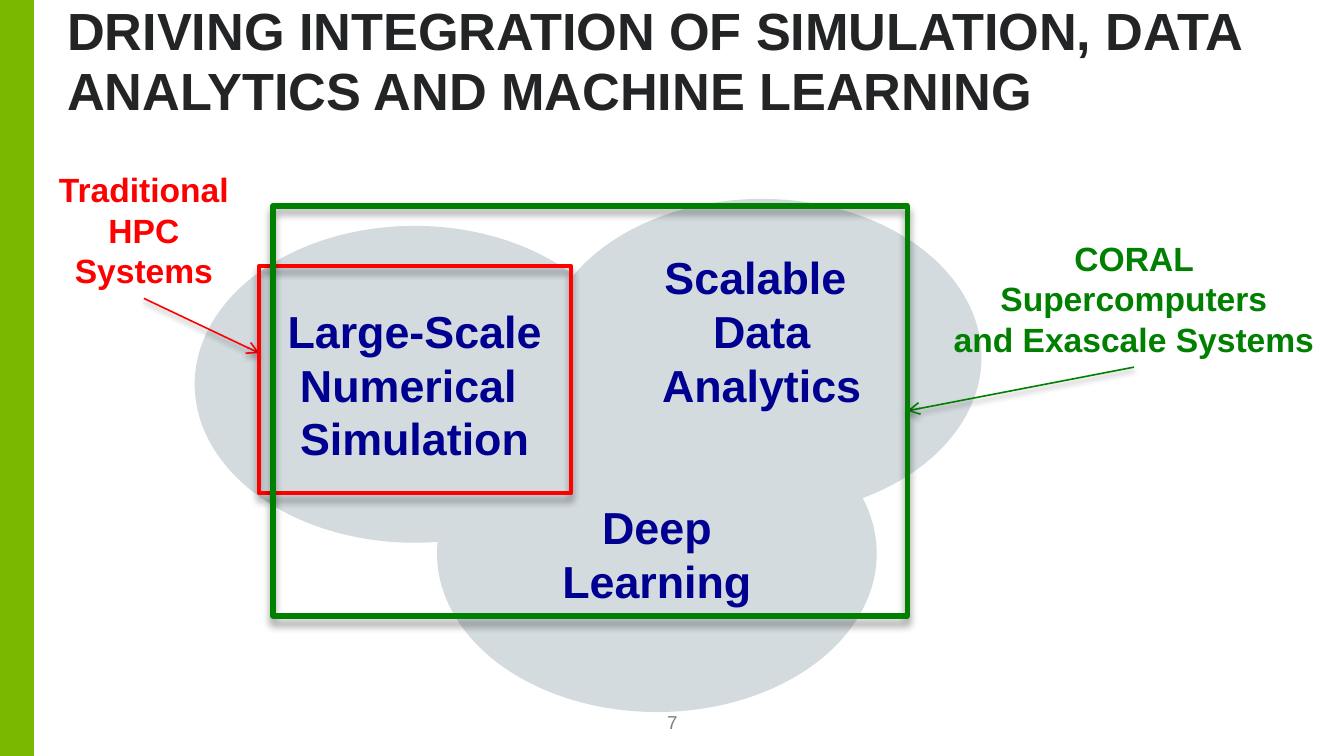
from lxml import etree
from pptx import Presentation
from pptx.dml.color import RGBColor
from pptx.enum.shapes import MSO_CONNECTOR, MSO_SHAPE
from pptx.enum.text import MSO_ANCHOR, PP_ALIGN
from pptx.oxml.ns import qn
from pptx.util import Cm, Pt

RECTANGLE, OVAL = MSO_SHAPE.RECTANGLE, MSO_SHAPE.OVAL
STRAIGHT = MSO_CONNECTOR.STRAIGHT
TOP, MIDDLE, BOTTOM = MSO_ANCHOR.TOP, MSO_ANCHOR.MIDDLE, MSO_ANCHOR.BOTTOM
LEFT, CENTER = PP_ALIGN.LEFT, PP_ALIGN.CENTER

COLORS = {
    "accent": "7AB800", "title": "232425", "number": "808080", "white": "FFFFFF",
    "circle": "D3DBDF", "topic": "000090", "hpc": "FF0000", "coral": "008000",
    "shadow": "000000",
}
TITLE = "DRIVING INTEGRATION OF SIMULATION, DATA ANALYTICS AND MACHINE LEARNING"
TITLE_PLACE = (1.27, 0.58, 23.27, 1.73)
NUMBER, NUMBER_PLACE = "7", (12.07, 13.49, 1.27, 0.38)
BAR_PLACE = (0, 0, 0.64, 14.29)
CIRCLE_SIZE = (8.31, 5.99)
INSETS = (0.25, 0.13, 0.25, 0.13)
RAISED_INSETS = (0.25, 0.13, 0.25, 1.15)
TOPICS = [
    ("Deep\nLearning", (8.26, 7.47), INSETS),
    ("Large-Scale\nNumerical \nSimulation", (3.68, 4.27), INSETS),
    ("Scalable \nData Analytics", (10.24, 3.76), RAISED_INSETS),
]
SYSTEMS = [
    {"text": "Traditional\nHPC\nSystems", "color": "hpc", "label": (0.84, 3.07, 3.76, 2.57),
     "wrap": False, "frame": (4.9, 5.03, 5.89, 4.29), "weight": 2.25, "side": "left"},
    {"text": "CORAL Supercomputers\nand Exascale Systems", "color": "coral",
     "label": (17.48, 4.37, 7.9, 2.57), "wrap": True,
     "frame": (5.16, 3.89, 11.99, 7.75), "weight": 3, "side": "right"},
]


def color(name):
    return RGBColor.from_string(COLORS[name])


def lengths(values):
    return [Cm(value) for value in values]


def write(shape, text, size, tint, bold=True, insets=INSETS, anchor=TOP, align=CENTER,
          wrap=True):
    frame = shape.text_frame
    frame.text = text
    frame.word_wrap = wrap
    frame.vertical_anchor = anchor
    (frame.margin_left, frame.margin_top,
     frame.margin_right, frame.margin_bottom) = lengths(insets)
    for paragraph in frame.paragraphs:
        paragraph.alignment = align
        for span in paragraph.runs:
            span.font.name, span.font.size, span.font.bold = "Arial", Pt(size), bold
            span.font.color.rgb = color(tint)


def add_plain_shape(slide, kind, place, fill=None):
    shape = slide.shapes.add_shape(kind, *lengths(place))
    shape.shadow.inherit = False
    shape.line.fill.background()
    if fill:
        shape.fill.solid()
        shape.fill.fore_color.rgb = color(fill)
    else:
        shape.fill.background()
    return shape


def add_shadow(item, blur, distance):
    properties = item._element.spPr
    effects = properties.find(qn("a:effectLst"))
    if effects is None:
        effects = etree.SubElement(properties, qn("a:effectLst"))
    shadow = etree.SubElement(effects, qn("a:outerShdw"), blurRad=str(Pt(blur)),
                              dist=str(Pt(distance)), dir="5400000", rotWithShape="0")
    tint = etree.SubElement(shadow, qn("a:srgbClr"), val=COLORS["shadow"])
    etree.SubElement(tint, qn("a:alpha"), val="40000")


def add_label(slide, system):
    label = slide.shapes.add_textbox(*lengths(system["label"]))
    write(label, system["text"], 18, system["color"], wrap=system["wrap"])
    return label


def add_frame(slide, system):
    frame = add_plain_shape(slide, RECTANGLE, system["frame"])
    frame.line.color.rgb = color(system["color"])
    frame.line.width = Pt(system["weight"])
    add_shadow(frame, 4, 3.4)


def add_arrow(slide, system):
    left, top, width, height = system["label"]
    frame_left, frame_top, frame_width, frame_height = system["frame"]
    start = (left + width / 2, top + height)
    end_x = frame_left + (frame_width if system["side"] == "right" else 0)
    end_y = frame_top + frame_height / 2
    if system["side"] == "left":
        end_y -= 0.5
    arrow = slide.shapes.add_connector(STRAIGHT, *lengths((*start, end_x, end_y)))
    arrow.line.color.rgb = color(system["color"])
    arrow.line.width = Pt(0.85)
    etree.SubElement(arrow.line._get_or_add_ln(), qn("a:tailEnd"), type="arrow")
    add_shadow(arrow, 3, 2)


def main():
    """Build the slide on joining simulation, data analytics and machine learning."""
    deck = Presentation()
    deck.slide_width, deck.slide_height = Cm(25.4), Cm(14.29)
    slide = deck.slides.add_slide(deck.slide_layouts[5])
    title = slide.shapes.title
    title.left, title.top, title.width, title.height = lengths(TITLE_PLACE)
    write(title, TITLE, 28, "title", insets=(0, 0, 0, 0), anchor=BOTTOM, align=LEFT)
    title.text_frame.paragraphs[0].line_spacing = 0.95

    add_plain_shape(slide, RECTANGLE, BAR_PLACE, "accent")
    number = slide.shapes.add_textbox(*lengths(NUMBER_PLACE))
    write(number, NUMBER, 10, "number", bold=False, insets=(0, 0.13, 0, 0), anchor=BOTTOM)
    for text, corner, insets in TOPICS:
        circle = add_plain_shape(slide, OVAL, (*corner, *CIRCLE_SIZE), "circle")
        write(circle, text, 24, "topic", insets=insets, anchor=MIDDLE)
    for system in SYSTEMS:
        add_label(slide, system)
        add_arrow(slide, system)
        add_frame(slide, system)
    deck.save("out.pptx")


if __name__ == "__main__":
    main()
